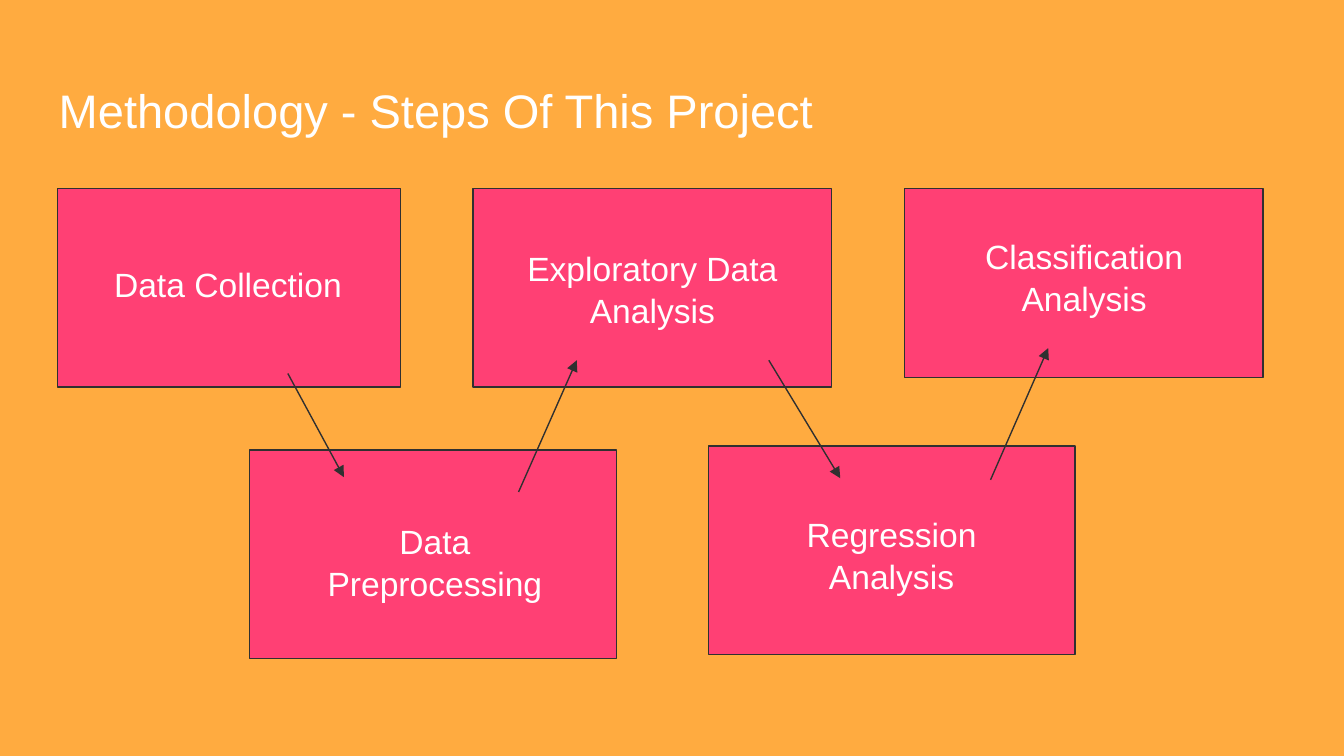
from dataclasses import dataclass

from lxml.etree import SubElement
from pptx import Presentation
from pptx.dml.color import RGBColor
from pptx.enum.shapes import MSO_CONNECTOR, MSO_SHAPE
from pptx.enum.text import MSO_ANCHOR, PP_ALIGN
from pptx.oxml.ns import qn
from pptx.util import Cm, Pt


@dataclass(frozen=True)
class Theme:
    background: RGBColor = RGBColor(0xFF, 0xAB, 0x40)
    step_fill: RGBColor = RGBColor(0xFF, 0x40, 0x74)
    outline: RGBColor = RGBColor(0x30, 0x30, 0x30)
    text: RGBColor = RGBColor(0xFF, 0xFF, 0xFF)
    font: str = "Arial"
    title_size: float = 25.2
    label_size: float = 18
    line_width: float = 0.75
    line_spacing: float = 1.05
    inset: float = 0.25


class SlideBuilder:
    def __init__(self, slide, theme):
        self.slide = slide
        self.theme = theme
        slide.background.fill.solid()
        slide.background.fill.fore_color.rgb = theme.background

    def style_text(self, frame, text, size, alignment):
        frame.word_wrap = True
        frame.vertical_anchor = MSO_ANCHOR.MIDDLE
        frame.margin_left = frame.margin_right = Cm(self.theme.inset)
        frame.margin_top = frame.margin_bottom = Cm(self.theme.inset)
        frame.text = text
        paragraph = frame.paragraphs[0]
        paragraph.alignment = alignment
        paragraph.line_spacing = self.theme.line_spacing
        for run in paragraph.runs:
            run.font.name = self.theme.font
            run.font.size = Pt(size)
            run.font.color.rgb = self.theme.text

    def outline(self, line):
        line.color.rgb = self.theme.outline
        line.width = Pt(self.theme.line_width)

    def title(self, text, left, top, width, height):
        heading = self.slide.shapes.title
        heading.left, heading.top = Cm(left), Cm(top)
        heading.width, heading.height = Cm(width), Cm(height)
        self.style_text(heading.text_frame, text, self.theme.title_size, PP_ALIGN.LEFT)

    def box(self, left, top, width, height):
        step = self.slide.shapes.add_shape(
            MSO_SHAPE.RECTANGLE, Cm(left), Cm(top), Cm(width), Cm(height))
        step.shadow.inherit = False
        step.fill.solid()
        step.fill.fore_color.rgb = self.theme.step_fill
        self.outline(step.line)

    def label(self, text, left, top, width, height):
        caption = self.slide.shapes.add_textbox(
            Cm(left), Cm(top), Cm(width), Cm(height))
        self.style_text(caption.text_frame, text, self.theme.label_size, PP_ALIGN.CENTER)

    def arrow(self, start, end):
        link = self.slide.shapes.add_connector(
            MSO_CONNECTOR.STRAIGHT, *map(Cm, start + end))
        self.outline(link.line)
        properties = link.element.spPr
        SubElement(properties.get_or_add_ln(), qn("a:tailEnd"), type="triangle")
        SubElement(properties, qn("a:effectLst"))


UPPER_TOP = 3.56
LABEL_SIZE = (5.36, 2.72)

STEPS = [
    ("Data Collection", (1.09, UPPER_TOP, 6.48, 3.76), (1.63, 3.99)),
    ("Data Preprocessing", (4.72, 8.51, 6.93, 3.94), (5.54, 9.25)),
    ("Exploratory Data Analysis", (8.94, UPPER_TOP, 6.78, 3.76), (9.65, 4.09)),
    ("Regression Analysis", (13.39, 8.43, 6.93, 3.94), (14.17, 9.12)),
    ("Classification Analysis", (17.09, UPPER_TOP, 6.78, 3.58), (17.81, 3.86)),
]

TRANSITIONS = [
    ((5.44, 7.06), (6.5, 9.02)),
    ((9.8, 9.3), (10.9, 6.81)),
    ((14.53, 6.81), (15.88, 9.04)),
    ((18.72, 9.07), (19.81, 6.58)),
]


def main():
    presentation = Presentation()
    presentation.slide_width = Cm(25.4)
    presentation.slide_height = Cm(14.29)
    slide = presentation.slides.add_slide(presentation.slide_layouts[5])
    builder = SlideBuilder(slide, Theme())

    builder.title("Methodology - Steps Of This Project", 0.86, 1.24, 23.67, 1.6)
    for _, bounds, _ in STEPS:
        builder.box(*bounds)
    for name, _, position in STEPS:
        builder.label(name, *position, *LABEL_SIZE)
    for start, end in TRANSITIONS:
        builder.arrow(start, end)

    presentation.save("out.pptx")


if __name__ == "__main__":
    main()
